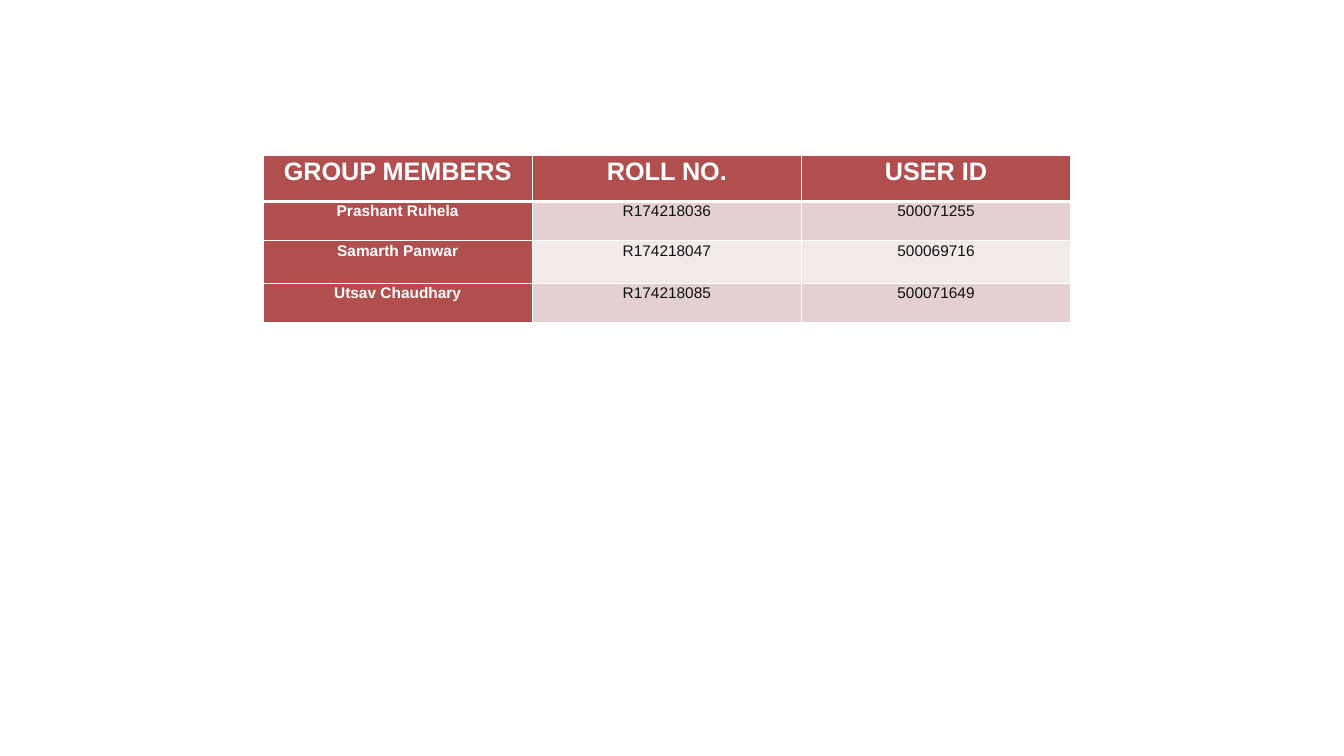
from lxml.etree import SubElement
from pptx import Presentation
from pptx.dml.color import RGBColor
from pptx.enum.text import PP_ALIGN
from pptx.oxml.ns import qn
from pptx.util import Inches, Pt

ROWS = [
    ("GROUP MEMBERS", "ROLL NO.", "USER ID"),
    ("Prashant Ruhela", "R174218036", "500071255"),
    ("Samarth Panwar", "R174218047", "500069716"),
    ("Utsav Chaudhary", "R174218085", "500071649"),
]
ROW_HEIGHTS = (0.46, 0.39, 0.42, 0.39)
COLUMN_WIDTH = 2.67
TABLE_LEFT, TABLE_TOP = 2.61, 1.54

THEME = {
    "font": "Arial",
    "header_size": 18,
    "body_size": 11,
    "accent": "B14F4F",
    "bands": ("F2E9E9", "E4D0D0"),
    "light": "FFFFFF",
    "dark": "111111",
    "thin": 1,
    "thick": 3,
}


def set_borders(cell, top, bottom):
    properties = cell._tc.get_or_add_tcPr()
    widths = {"lnL": THEME["thin"], "lnR": THEME["thin"], "lnT": top, "lnB": bottom}
    for side, width in widths.items():
        line = SubElement(properties, qn(f"a:{side}"), w=str(Pt(width)))
        SubElement(SubElement(line, qn("a:solidFill")), qn("a:srgbClr"), val=THEME["light"])


def style_cell(cell, text, row, column):
    is_heading = row == 0 or column == 0
    set_borders(
        cell,
        THEME["thick"] if row == 1 else THEME["thin"],
        THEME["thick"] if row == 0 else THEME["thin"],
    )
    cell.fill.solid()
    fill = THEME["accent"] if is_heading else THEME["bands"][row % 2]
    cell.fill.fore_color.rgb = RGBColor.from_string(fill)
    cell.margin_left = cell.margin_right = Inches(0.07)
    cell.margin_top = cell.margin_bottom = 0

    cell.text = text
    paragraph = cell.text_frame.paragraphs[0]
    paragraph.alignment = PP_ALIGN.CENTER
    paragraph.line_spacing = 1.07
    font = paragraph.font
    font.name = THEME["font"]
    font.size = Pt(THEME["header_size"] if row == 0 else THEME["body_size"])
    font.bold = is_heading
    font.color.rgb = RGBColor.from_string(THEME["light"] if is_heading else THEME["dark"])


def main():
    presentation = Presentation()
    presentation.slide_width = Inches(13.33)
    presentation.slide_height = Inches(7.5)
    slide = presentation.slides.add_slide(presentation.slide_layouts[6])

    column_count = len(ROWS[0])
    table = slide.shapes.add_table(
        len(ROWS), column_count,
        Inches(TABLE_LEFT), Inches(TABLE_TOP),
        Inches(COLUMN_WIDTH * column_count), Inches(sum(ROW_HEIGHTS)),
    ).table
    for column in table.columns:
        column.width = Inches(COLUMN_WIDTH)
    for row, (height, texts) in enumerate(zip(ROW_HEIGHTS, ROWS)):
        table.rows[row].height = Inches(height)
        for column, text in enumerate(texts):
            style_cell(table.cell(row, column), text, row, column)

    presentation.save("out.pptx")


if __name__ == "__main__":
    main()
